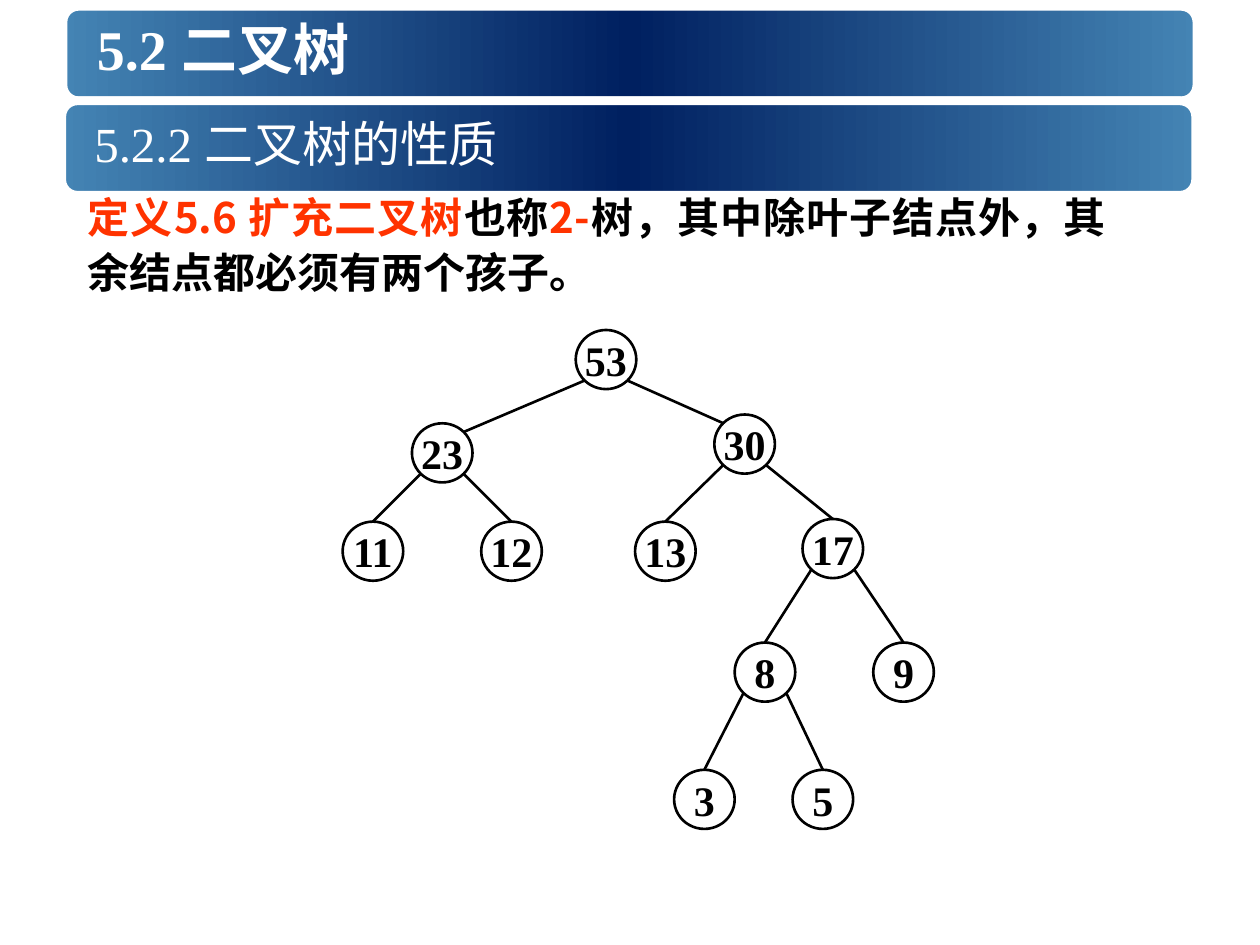
"""Build the slide that defines an extended binary tree."""
from copy import deepcopy
from math import sqrt

from lxml import etree
from pptx import Presentation
from pptx.dml.color import RGBColor
from pptx.enum import shapes, text
from pptx.oxml import ns
from pptx.util import Pt

WHITE = RGBColor(255, 255, 255)
BLACK = RGBColor(0, 0, 0)
NAVY = RGBColor(0, 0x20, 0x60)
STEEL = RGBColor(0x44, 0x84, 0xB4)
RED = RGBColor(0xFF, 0x33, 0)
SERIF, SANS = "Times New Roman", "Noto Sans CJK SC"
WIDE, HIGH = 34.6, 33.8

NODES = {
    "53": (329, 188.6),
    "23": (235.4, 241.9), "30": (408.2, 236.9),
    "11": (195.8, 298.1), "12": (275, 298.1), "13": (362.9, 298.1), "17": (458.6, 296.6),
    "8": (419.8, 367.2), "9": (499, 367.2),
    "3": (385.2, 439.9), "5": (452.9, 439.9),
}
TREE = {
    "53": ("23", "30"), "23": ("11", "12"), "30": ("13", "17"),
    "17": ("8", "9"), "8": ("3", "5"),
}


def style(run, size, color, bold=False, face=SERIF):
    """Set the size, colour, weight and typefaces of a run."""
    font = run.font
    font.size, font.bold, font.name = Pt(size), bold, face
    font.color.rgb = color
    east = etree.SubElement(run._r.get_or_add_rPr(), ns.qn("a:ea"))
    east.set("typeface", SANS)


def add_bar(slide, left, top):
    """Add a rounded heading bar with a three-stop gradient."""
    bar = slide.shapes.add_shape(
        shapes.MSO_SHAPE.ROUNDED_RECTANGLE, Pt(left), Pt(top), Pt(648), Pt(54))
    bar.shadow.inherit = False
    bar.line.color.rgb, bar.line.width = WHITE, Pt(5)
    fill = bar.fill
    fill.gradient()
    fill.gradient_angle = 0
    first = bar._element.spPr.find(".//" + ns.qn("a:gs"))
    first.addnext(deepcopy(first))
    for stop, (place, color) in zip(
            fill.gradient_stops, ((0, STEEL), (0.5, NAVY), (1, STEEL))):
        stop.position, stop.color.rgb = place, color


def set_head(box, words, size, bold):
    """Write a heading, centred vertically and aligned left."""
    frame = box.text_frame
    frame.text = words
    frame.word_wrap = True
    frame.vertical_anchor = text.MSO_ANCHOR.MIDDLE
    para = frame.paragraphs[0]
    para.alignment = text.PP_ALIGN.LEFT
    style(para.runs[0], size, WHITE, bold)


def add_title(slide, words):
    """Fill the title placeholder and raise it above its bar."""
    title = slide.shapes.title
    title.left, title.top, title.width, title.height = Pt(48.2), Pt(3.6), Pt(630), Pt(48.2)
    set_head(title, words, 32, True)
    slide.shapes._spTree.append(title._element)


def add_text(slide, parts):
    """Add the justified definition from pairs of words and colour."""
    box = slide.shapes.add_textbox(Pt(43.2), Pt(103), Pt(596), Pt(70.6))
    frame = box.text_frame
    frame.word_wrap = True
    para = frame.paragraphs[0]
    para.alignment, para.line_spacing = text.PP_ALIGN.JUSTIFY, 1.1
    for words, color in parts:
        run = para.add_run()
        run.text = words
        style(run, 24, color, True, SANS)


def add_node(slide, label, left, top):
    """Add a labelled circle and return it."""
    node = slide.shapes.add_shape(
        shapes.MSO_SHAPE.OVAL, Pt(left), Pt(top), Pt(WIDE), Pt(HIGH))
    node.shadow.inherit = False
    node.fill.background()
    node.line.color.rgb, node.line.width = BLACK, Pt(1.5)
    frame = node.text_frame
    frame.text = label
    frame.word_wrap = False
    frame.vertical_anchor = text.MSO_ANCHOR.MIDDLE
    para = frame.paragraphs[0]
    para.alignment = text.PP_ALIGN.CENTER
    style(para.runs[0], 24, BLACK, True)
    return node


def rim(label, side, drop):
    """Return the diagonal rim point of a node; signs give the direction."""
    left, top = NODES[label]
    return (Pt(left + WIDE / 2 * (1 + side / sqrt(2))),
            Pt(top + HIGH / 2 * (1 + drop / sqrt(2))))


def add_edge(slide, upper, lower, side, node):
    """Link a parent to a child, at its top unless the parent is the root."""
    line = slide.shapes.add_connector(
        shapes.MSO_CONNECTOR.STRAIGHT, *rim(upper, side, 1), *rim(lower, -side, -1))
    if upper != "53":
        line.end_connect(node, 0)
    line.line.color.rgb, line.line.width = BLACK, Pt(1.5)
    etree.SubElement(line._element.spPr, ns.qn("a:effectLst"))


def main():
    """Build and save the slide."""
    deck = Presentation()
    deck.slide_width, deck.slide_height = Pt(720), Pt(540)
    slide = deck.slides.add_slide(deck.slide_layouts[5])
    add_bar(slide, 36, 3.6)
    add_title(slide, "5.2 二叉树")
    add_bar(slide, 35.3, 57.6)
    head = slide.shapes.add_textbox(Pt(46.8), Pt(57.6), Pt(630), Pt(48.2))
    set_head(head, "5.2.2 二叉树的性质", 28, False)
    add_text(slide, (
        ("定义5.6 扩充二叉树", RED), ("也称", BLACK), ("2-", RED),
        ("树，其中除叶子结点外，其余结点都必须有两个孩子。", BLACK)))
    nodes = {label: add_node(slide, label, *spot) for label, spot in NODES.items()}
    for upper, pair in TREE.items():
        for lower, side in zip(pair, (-1, 1)):
            add_edge(slide, upper, lower, side, nodes[lower])
    deck.save("out.pptx")


if __name__ == "__main__":
    main()
